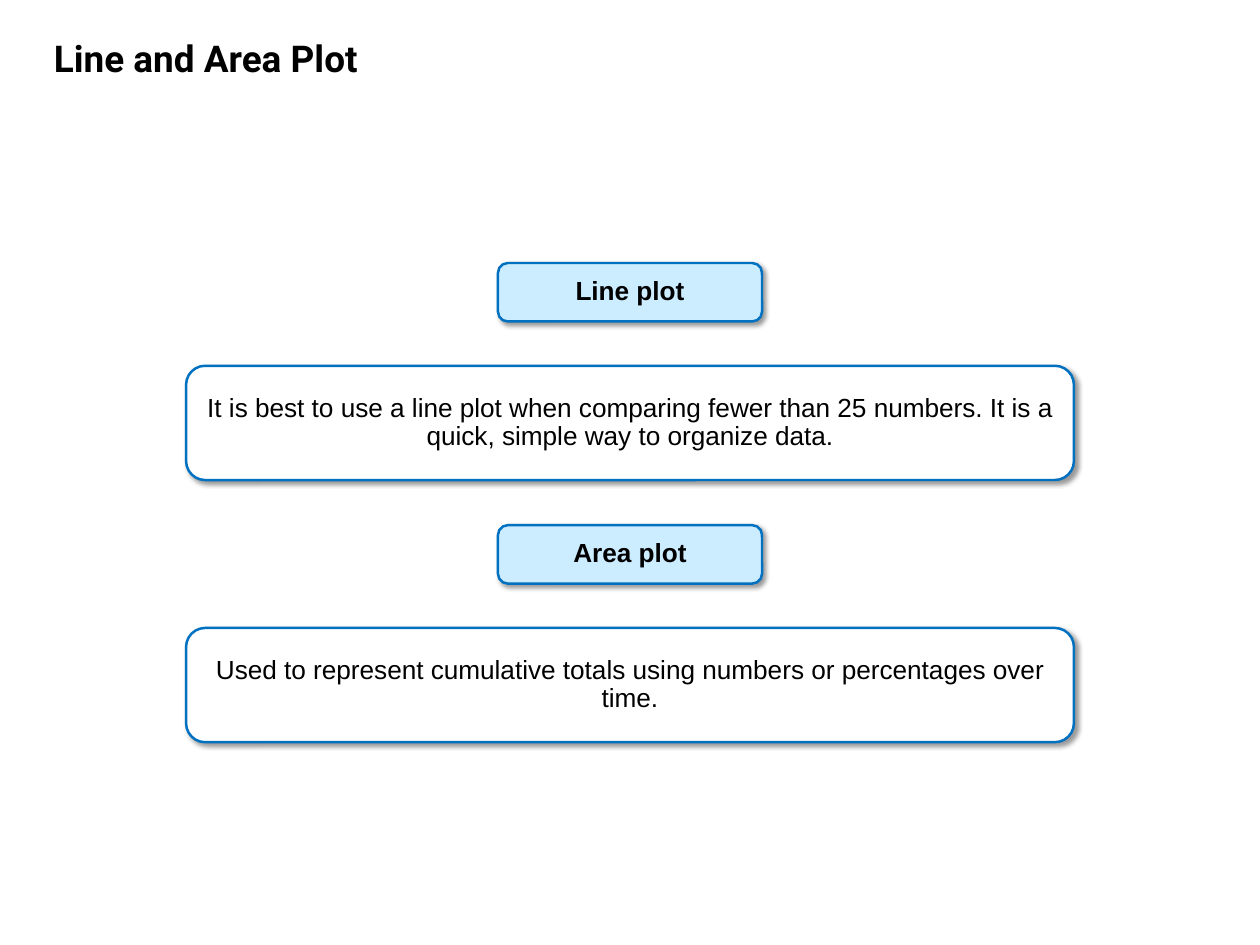
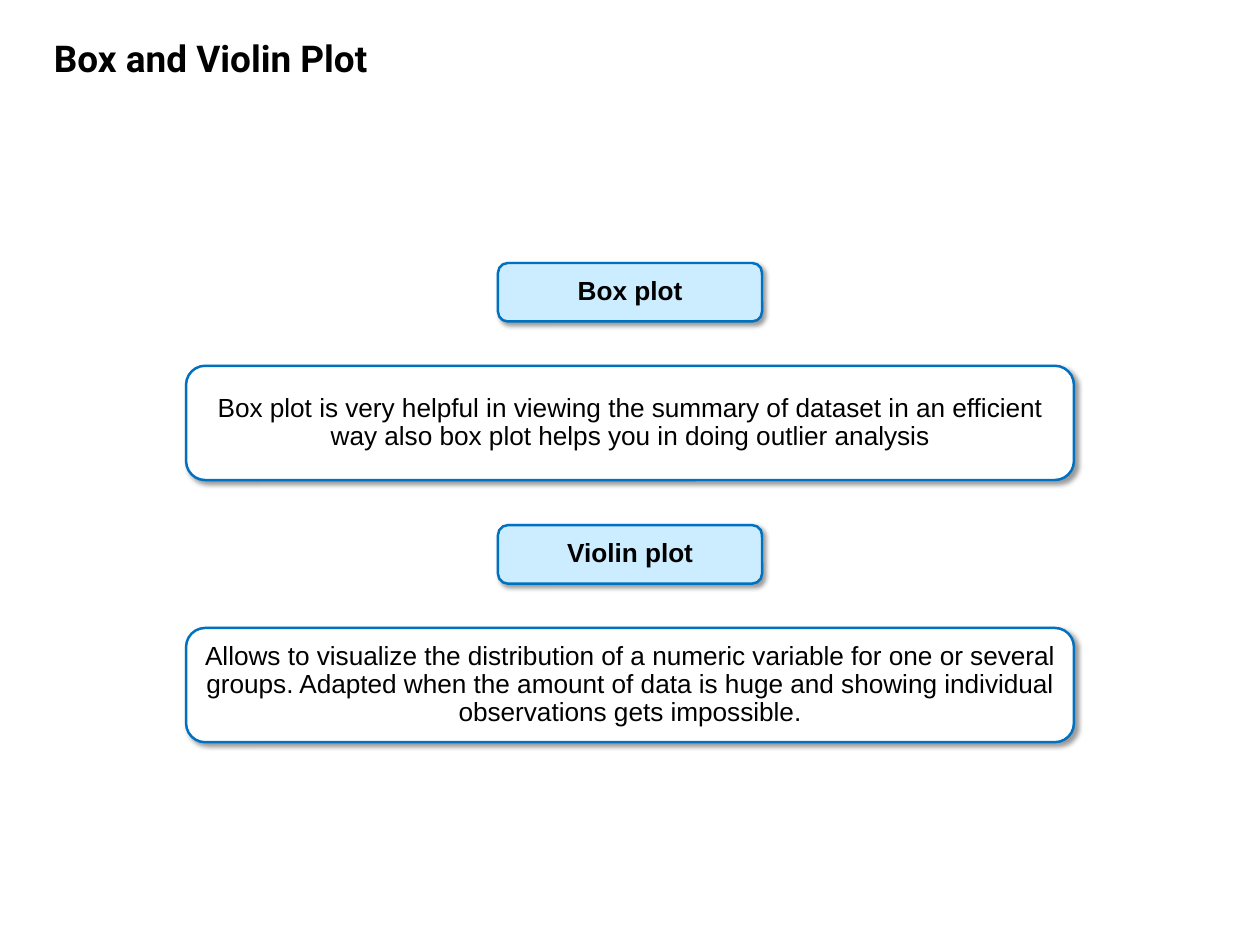
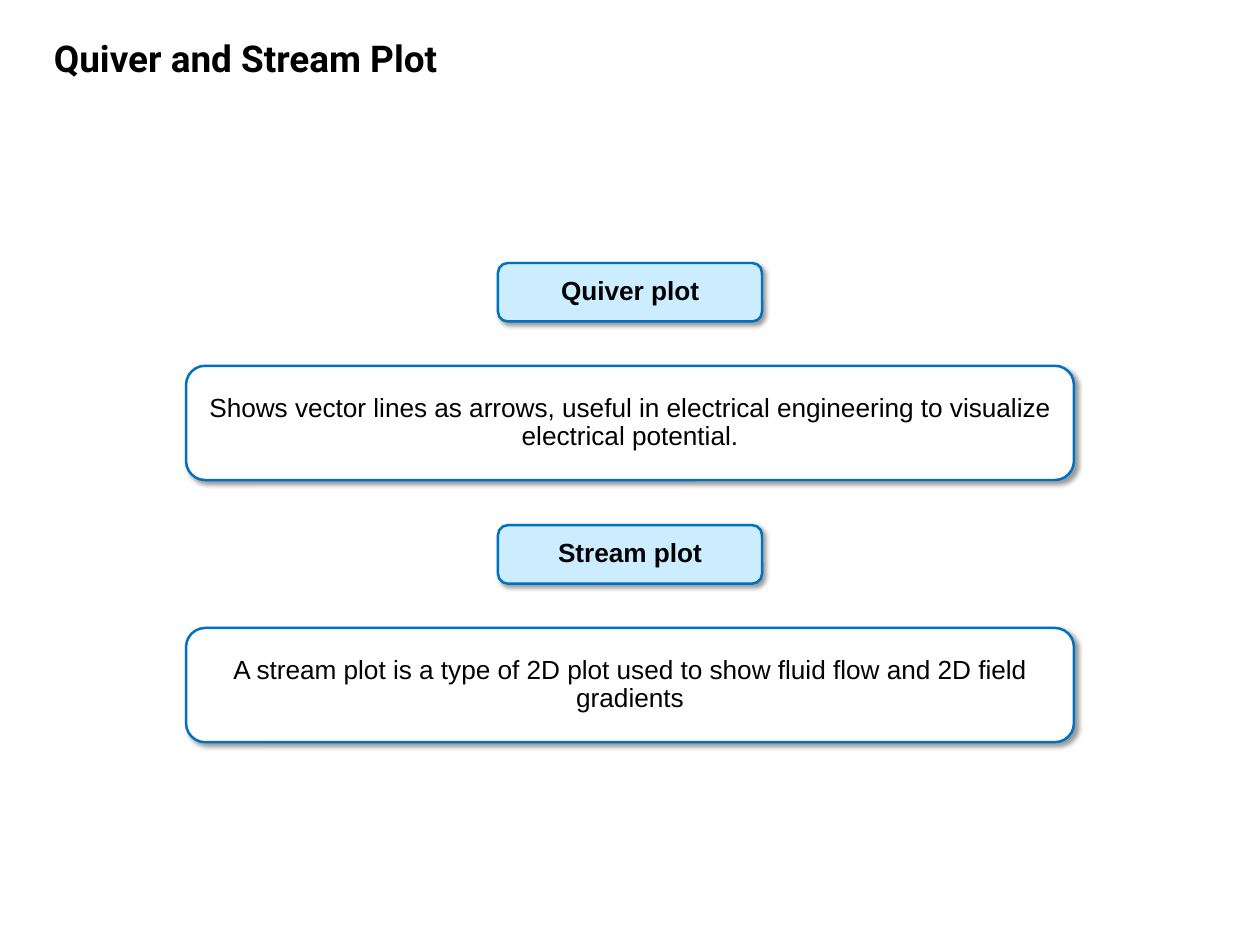
from dataclasses import dataclass

from lxml import etree
from pptx import Presentation
from pptx.dml.color import RGBColor
from pptx.enum.shapes import MSO_SHAPE
from pptx.enum.text import MSO_ANCHOR, MSO_AUTO_SIZE, PP_ALIGN
from pptx.oxml.ns import qn
from pptx.util import Emu, Pt

ROUND = MSO_SHAPE.ROUNDED_RECTANGLE
MIDDLE = MSO_ANCHOR.MIDDLE
GROW = MSO_AUTO_SIZE.SHAPE_TO_FIT_TEXT
LEFT, CENTER = PP_ALIGN.LEFT, PP_ALIGN.CENTER
SCALE = 9144


@dataclass(frozen=True)
class Theme:
    ink: str = "000000"
    edge: str = "0070C0"
    label: str = "CCECFF"
    note: str = "FFFFFF"
    head: str = "Roboto"
    body: str = "Arial"
    big: float = 30
    small: float = 21.3
    line: float = 2
    lead: float = 0.9
    before: float = 32
    blur: float = 4
    drop: float = 3
    angle: int = 45
    alpha: int = 40


THEME = Theme()
SIZE = (1422, 1067)
TITLE = (51, 41, 580, 56)
BODY = (210, 297, 1002, 542)
LABEL = (298, 66)
NOTE = 129

SLIDES = [
    ("Line and Area Plot", [
        ("Line plot",
         "It is best to use a line plot when comparing fewer than 25 numbers. "
         "It is a quick, simple way to organize data."),
        ("Area plot",
         "Used to represent cumulative totals using numbers or percentages "
         "over time."),
    ]),
    ("Box and Violin Plot", [
        ("Box plot",
         "Box plot is very helpful in viewing the summary of dataset in an "
         "efficient way also box plot helps you in doing outlier analysis"),
        ("Violin plot",
         "Allows to visualize the distribution of a numeric variable for one "
         "or several groups. Adapted when the amount of data is huge and "
         "showing individual observations gets impossible."),
    ]),
    ("Quiver and Stream Plot", [
        ("Quiver plot",
         "Shows vector lines as arrows, useful in electrical engineering to "
         "visualize electrical potential."),
        ("Stream plot",
         "A stream plot is a type of 2D plot used to show fluid flow and 2D "
         "field gradients"),
    ]),
]


def px(*sides):
    return [Emu(side * SCALE) for side in sides]


def rgb(code):
    return RGBColor.from_string(code)


def write(frame, text, face, size, bold, align):
    frame.word_wrap = True
    para = frame.paragraphs[0]
    para.alignment = align
    para.line_spacing = THEME.lead
    para.space_before = Pt(THEME.before)
    run = para.add_run()
    run.text = text
    font = run.font
    font.name = face
    font.size = Pt(size)
    font.bold = bold
    font.color.rgb = rgb(THEME.ink)


def shade(shape):
    shape.shadow.inherit = False
    effects = shape._element.spPr.find(qn("a:effectLst"))
    outer = etree.SubElement(
        effects, qn("a:outerShdw"), blurRad=str(Pt(THEME.blur)),
        dist=str(Pt(THEME.drop)), dir=str(THEME.angle * 60000),
        algn="tl", rotWithShape="0")
    color = etree.SubElement(outer, qn("a:srgbClr"), val=THEME.ink)
    etree.SubElement(color, qn("a:alpha"), val=str(THEME.alpha * 1000))


def card(slide, box, text, fill, bold=False):
    shape = slide.shapes.add_shape(ROUND, *px(*box))
    shape.fill.solid()
    shape.fill.fore_color.rgb = rgb(fill)
    shape.line.color.rgb = rgb(THEME.edge)
    shape.line.width = Pt(THEME.line)
    shade(shape)
    shape.text_frame.vertical_anchor = MIDDLE
    write(shape.text_frame, text, THEME.body, THEME.small, bold, CENTER)


def title(slide, box, text):
    frame = slide.shapes.add_textbox(*px(*box)).text_frame
    frame.auto_size = GROW
    write(frame, text, THEME.head, THEME.big, True, LEFT)


def pair(slide, box, name, text):
    left, top, width, height = box
    wide, high = LABEL
    card(slide, (left, top + height - NOTE, width, NOTE), text, THEME.note)
    card(slide, (left + (width - wide) // 2, top, wide, high), name,
         THEME.label, True)


def stack(slide, box, pairs):
    left, top, width, height = box
    gap = 51
    count = len(pairs)
    tall = (height - gap * (count - 1)) // count
    for index, (name, text) in enumerate(pairs):
        spot = (left, top + index * (tall + gap), width, tall)
        pair(slide, spot, name, text)


def main():
    deck = Presentation()
    deck.slide_width, deck.slide_height = px(*SIZE)
    blank = deck.slide_layouts[6]
    for head, pairs in SLIDES:
        slide = deck.slides.add_slide(blank)
        stack(slide, BODY, pairs)
        title(slide, TITLE, head)
    deck.save("out.pptx")


if __name__ == "__main__":
    main()
